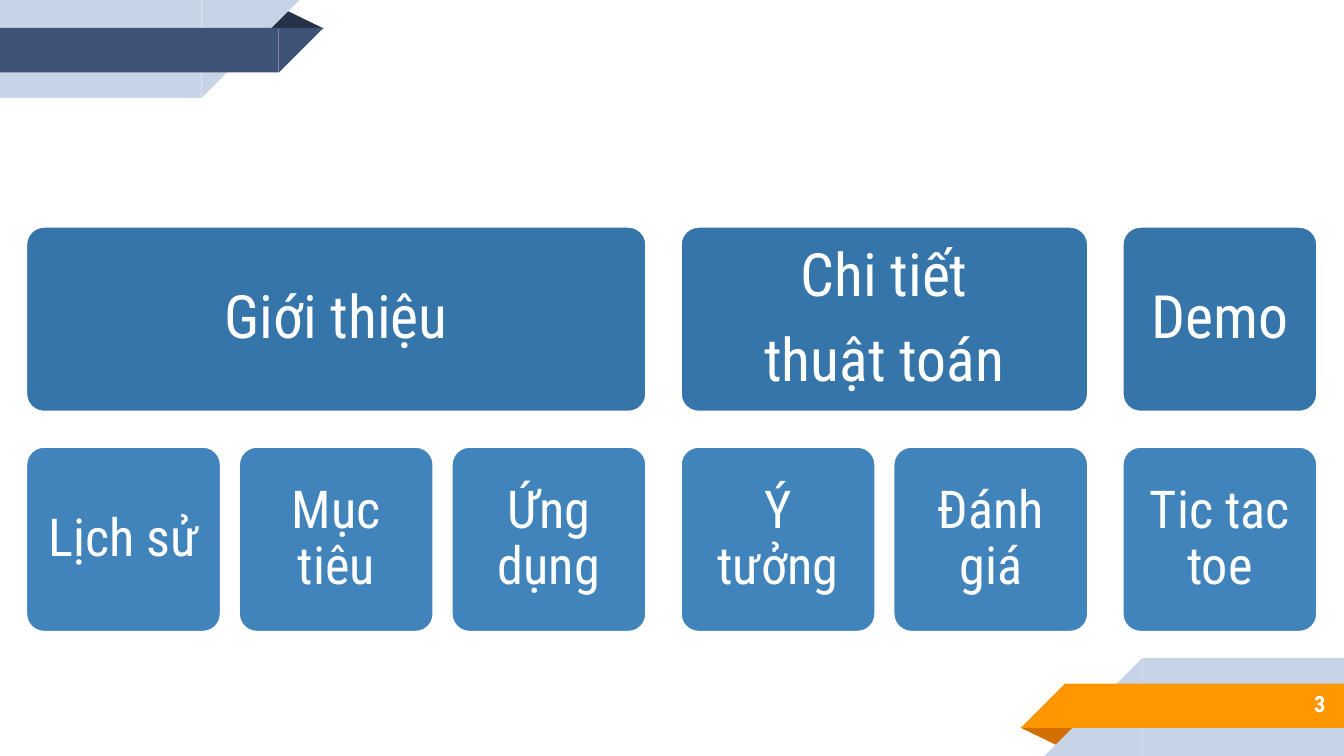
import pptx
import pptx.dml.color
import pptx.enum.shapes
import pptx.enum.text
import pptx.util

Cm = pptx.util.Cm
Pt = pptx.util.Pt
Kind = pptx.enum.shapes.MSO_SHAPE
Align = pptx.enum.text.PP_ALIGN
WIDE, HIGH = 25.4, 14.29


def color(code):
    return pptx.dml.color.RGBColor.from_string(code)


class Deck:
    font = "Roboto Condensed"
    white = "FFFFFF"
    pale = "C7D3E6"

    def __init__(self):
        self.file = pptx.Presentation()
        self.file.slide_width = Cm(WIDE)
        self.file.slide_height = Cm(HIGH)
        self.slide = self.file.slides.add_slide(self.file.slide_layouts[6])

    def shape(self, kind, left, top, wide, high, fill, turn=0):
        item = self.slide.shapes.add_shape(
            kind, Cm(left), Cm(top), Cm(wide), Cm(high))
        item.shadow.inherit = False
        item.fill.solid()
        item.fill.fore_color.rgb = color(fill)
        item.line.fill.background()
        item.rotation = turn
        return item

    def text(self, item, lines, size, inset, align, bold=False):
        frame = item.text_frame
        frame.word_wrap = True
        frame.vertical_anchor = pptx.enum.text.MSO_ANCHOR.MIDDLE
        frame.margin_left = frame.margin_right = Cm(inset)
        frame.margin_top = frame.margin_bottom = Cm(inset)
        for num, line in enumerate(lines):
            para = frame.add_paragraph() if num else frame.paragraphs[0]
            para.alignment = align
            para.line_spacing = 0.9
            para.space_after = Pt(round(size * 0.35))
            run = para.add_run()
            run.text = line
            run.font.name = self.font
            run.font.size = Pt(size)
            run.font.bold = bold
            run.font.color.rgb = color(self.white)

    def box(self, left, top, wide, high, lines, fill, size, inset):
        item = self.shape(Kind.ROUNDED_RECTANGLE, left, top, wide, high, fill)
        item.adjustments[0] = 0.1
        item.line.color.rgb = color(self.white)
        item.line.width = Pt(2)
        self.text(item, lines, size, inset, Align.CENTER)

    def ribbon(self, band, fold, flip):
        parts = [
            (Kind.ISOSCELES_TRIANGLE, 5.03, 0.18, 1.09, 0.36, fold, 0),
            (Kind.RECTANGLE, 0, 0, 3.81, 1.85, self.pale, 0),
            (Kind.RIGHT_TRIANGLE, 3.81, 0, 1.85, 1.85, self.pale, 90),
            (Kind.RECTANGLE, 0, 0.53, 5.27, 0.84, band, 0),
            (Kind.RIGHT_TRIANGLE, 5.27, 0.53, 0.84, 0.84, band, 90),
        ]
        for kind, left, top, wide, high, fill, turn in parts:
            if flip:
                left, top = WIDE - left - wide, HIGH - top - high
                turn += 180
            item = self.shape(kind, left, top, wide, high, fill, turn)
            if kind == Kind.ISOSCELES_TRIANGLE:
                item.adjustments[0] = 0.32

    def number(self, left, top, wide, high, label):
        item = self.slide.shapes.add_textbox(
            Cm(left), Cm(top), Cm(wide), Cm(high))
        self.text(item, [label], 12, 0.25, Align.RIGHT, True)


def main():
    deck = Deck()
    deck.ribbon("FF9800", "D26F00", True)
    deck.ribbon("3F5378", "263248", False)
    deck.number(21.16, 12.88, 4.14, 0.89, "3")

    topics = [
        (["Giới thiệu"], ["Lịch sử", "Mục tiêu", "Ứng dụng"]),
        (["Chi tiết", "thuật toán"], ["Ý tưởng", "Đánh giá"]),
        (["Demo"], ["Tic tac toe"]),
    ]
    cell, high, gap, space = 3.71, 3.53, 0.31, 0.62
    head, sub = 4.27, 8.43
    left = 0.48
    for title, parts in topics:
        wide = len(parts) * (cell + gap) - gap
        deck.box(left, head, wide, high, title, "3575A9", 32, 0.33)
        for num, part in enumerate(parts):
            deck.box(left + num * (cell + gap), sub, cell, high,
                     [part], "4183BB", 28, 0.3)
        left += wide + space

    deck.file.save("out.pptx")


if __name__ == "__main__":
    main()
